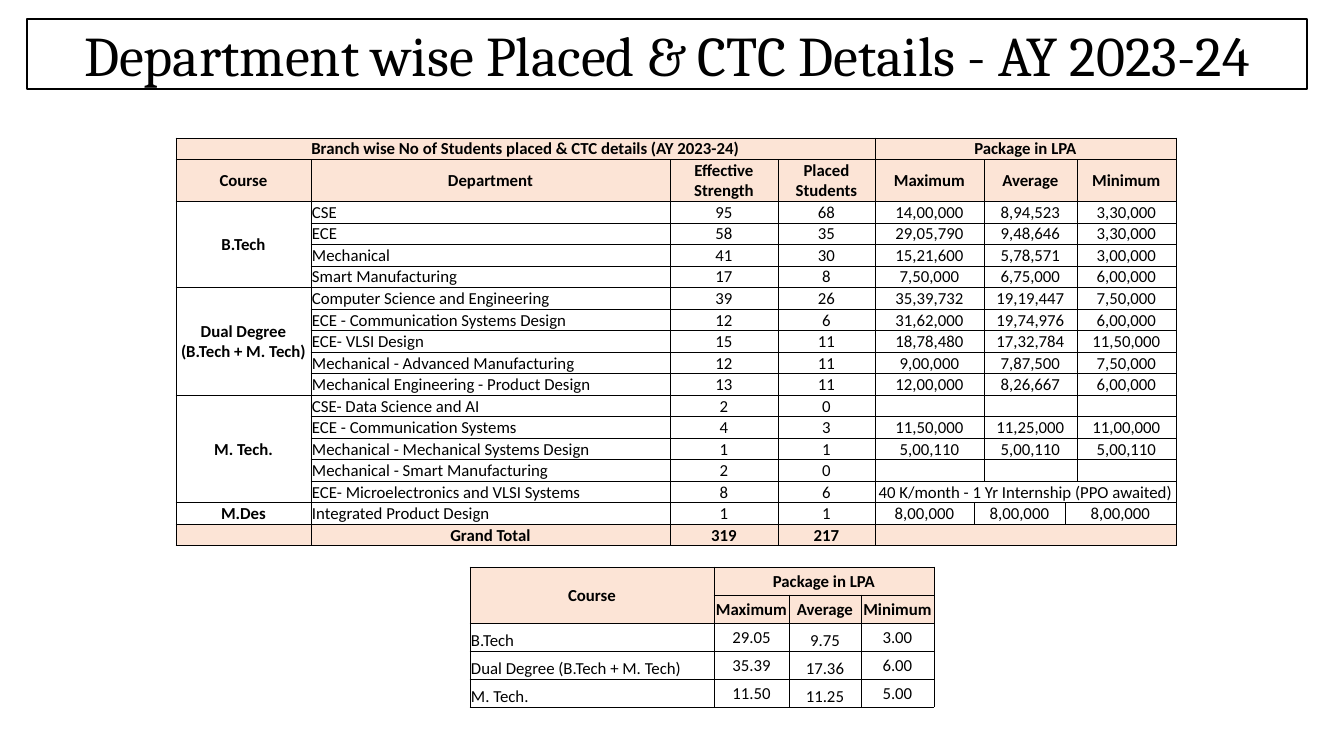
from lxml import etree
from pptx import Presentation
from pptx.dml.color import RGBColor
from pptx.enum.text import MSO_ANCHOR, PP_ALIGN
from pptx.oxml import parse_xml
from pptx.oxml.ns import nsdecls, qn
from pptx.util import Emu, Pt

CENTER, LEFT, JUSTIFY = PP_ALIGN.CENTER, PP_ALIGN.LEFT, PP_ALIGN.JUSTIFY
MIDDLE, BOTTOM = MSO_ANCHOR.MIDDLE, MSO_ANCHOR.BOTTOM
BLACK = RGBColor(0x00, 0x00, 0x00)
WHITE = RGBColor(0xFF, 0xFF, 0xFF)
PEACH = RGBColor(0xFC, 0xE4, 0xD6)
EMU_PER_PX = 914400 / 100.8

LEVELS = ("Maximum", "Average", "Minimum")
# (first column, number of columns) of each package figure
PACKAGE_SPANS = ((4, 2), (6, 2), (8, 1))
DESIGN_SPANS = ((4, 1), (5, 2), (7, 2))
WHOLE_SPAN = ((4, 5),)
NO_PACKAGE = ("", "", "")

# course, package spans, rows of (department, strength, placed, packages)
COURSES = [
    ("B.Tech", PACKAGE_SPANS, [
        ("CSE", "95", "68", ("14,00,000", "8,94,523", "3,30,000")),
        ("ECE", "58", "35", ("29,05,790", "9,48,646", "3,30,000")),
        ("Mechanical", "41", "30", ("15,21,600", "5,78,571", "3,00,000")),
        ("Smart Manufacturing", "17", "8", ("7,50,000", "6,75,000", "6,00,000")),
    ]),
    ("Dual Degree (B.Tech + M. Tech)", PACKAGE_SPANS, [
        ("Computer Science and Engineering", "39", "26",
         ("35,39,732", "19,19,447", "7,50,000")),
        ("ECE - Communication Systems Design", "12", "6",
         ("31,62,000", "19,74,976", "6,00,000")),
        ("ECE- VLSI Design", "15", "11", ("18,78,480", "17,32,784", "11,50,000")),
        ("Mechanical - Advanced Manufacturing", "12", "11",
         ("9,00,000", "7,87,500", "7,50,000")),
        ("Mechanical Engineering - Product Design", "13", "11",
         ("12,00,000", "8,26,667", "6,00,000")),
    ]),
    ("M. Tech.", PACKAGE_SPANS, [
        ("CSE- Data Science and AI", "2", "0", NO_PACKAGE),
        ("ECE - Communication Systems", "4", "3",
         ("11,50,000", "11,25,000", "11,00,000")),
        ("Mechanical - Mechanical Systems Design", "1", "1",
         ("5,00,110", "5,00,110", "5,00,110")),
        ("Mechanical - Smart Manufacturing", "2", "0", NO_PACKAGE),
        ("ECE- Microelectronics and VLSI Systems", "8", "6",
         ("40 K/month - 1 Yr Internship (PPO awaited)",)),
    ]),
    ("M.Des", DESIGN_SPANS, [
        ("Integrated Product Design", "1", "1", ("8,00,000", "8,00,000", "8,00,000")),
    ]),
]
SUMMARY = [
    ("B.Tech", "29.05", "9.75", "3.00"),
    ("Dual Degree (B.Tech + M. Tech)", "35.39", "17.36", "6.00"),
    ("M. Tech.", "11.50", "11.25", "5.00"),
]


def px(n):
    return Emu(round(n * EMU_PER_PX))


def set_font(font, name, size, bold=False):
    for key, value in {"name": name, "size": Pt(size), "bold": bold}.items():
        setattr(font, key, value)
    font.color.rgb = BLACK


def add_title(s, text):
    """Turn the title placeholder into an outlined rounded box."""
    title = s.shapes.title
    box = {"left": 27, "top": 19, "width": 1280, "height": 70}
    for key, value in box.items():
        setattr(title, key, px(value))
    title._element.spPr.append(parse_xml(
        f'<a:prstGeom {nsdecls("a")} prst="roundRect"><a:avLst/></a:prstGeom>'))
    title.fill.solid()
    title.fill.fore_color.rgb = WHITE
    title.line.color.rgb = BLACK
    title.line.width = Pt(1)
    tf = title.text_frame
    tf.word_wrap = True
    tf.vertical_anchor = MIDDLE
    p = tf.paragraphs[0]
    p.alignment = CENTER
    r = p.add_run()
    r.text = text
    set_font(r.font, "Cambria", 40)


def add_borders(cell):
    tc_pr = cell._tc.get_or_add_tcPr()
    for side in ("lnL", "lnR", "lnT", "lnB"):
        ln = etree.SubElement(tc_pr, qn(f"a:{side}"), w=str(Pt(0.5)))
        fill = etree.SubElement(ln, qn("a:solidFill"))
        etree.SubElement(fill, qn("a:srgbClr"), val=str(BLACK))


def add_grid(s, left, top, widths, heights):
    """Add a bordered table without fills; empty cells keep 12 pt lines."""
    frame = s.shapes.add_table(len(heights), len(widths), px(left), px(top),
                               px(sum(widths)), px(sum(heights)))
    table = frame.table
    table.first_row = table.horz_banding = False
    for column, width in zip(table.columns, widths):
        column.width = px(width)
    for row, height in zip(table.rows, heights):
        row.height = px(height)
    for cell in table.iter_cells():
        cell.margin_left = cell.margin_right = cell.margin_top = px(1)
        cell.margin_bottom = 0
        add_borders(cell)
        cell.fill.background()
        cell.text_frame.paragraphs[0]._p.get_or_add_endParaRPr().set("sz", "1200")
    return table


def write_cell(table, row, col, text, rows=1, cols=1, bold=False, fill=None,
               align=CENTER, anchor=MIDDLE):
    cell = table.cell(row, col)
    if rows * cols > 1:
        cell.merge(table.cell(row + rows - 1, col + cols - 1))
    cell.vertical_anchor = anchor
    if fill is not None:
        cell.fill.solid()
        cell.fill.fore_color.rgb = fill
    if text:
        p = cell.text_frame.paragraphs[0]
        p.alignment = align
        r = p.add_run()
        r.text = text
        set_font(r.font, "Calibri", 12, bold)


def write_heading(table, row, col, text, rows=1, cols=1):
    write_cell(table, row, col, text, rows, cols, bold=True, fill=PEACH)


def add_department_table(s):
    widths = [135, 359, 108, 97, 99, 10, 81, 12, 99]
    table = add_grid(s, 176, 138, widths, [21, 42] + [21] * 16)
    write_heading(table, 0, 0,
                  "Branch wise No of Students placed & CTC details (AY 2023-24)", cols=4)
    write_heading(table, 0, 4, "Package in LPA", cols=5)
    headings = ("Course", "Department", "Effective Strength", "Placed Students")
    for col, text in enumerate(headings):
        write_heading(table, 1, col, text)
    for (col, cols), text in zip(PACKAGE_SPANS, LEVELS):
        write_heading(table, 1, col, text, cols=cols)

    row = 2
    for course, spans, departments in COURSES:
        write_cell(table, row, 0, course, rows=len(departments), bold=True)
        for department, strength, placed, packages in departments:
            write_cell(table, row, 1, department, align=JUSTIFY)
            write_cell(table, row, 2, strength)
            write_cell(table, row, 3, placed)
            row_spans = WHOLE_SPAN if len(packages) == 1 else spans
            for (col, cols), text in zip(row_spans, packages):
                write_cell(table, row, col, text, cols=cols)
            row += 1

    for col, text in enumerate(("", "Grand Total", "319", "217")):
        write_heading(table, row, col, text)
    write_heading(table, row, 4, "", cols=5)


def add_summary_table(s):
    table = add_grid(s, 470, 567, [244, 75, 72, 73], [28] * 5)
    write_heading(table, 0, 0, "Course", rows=2)
    write_heading(table, 0, 1, "Package in LPA", cols=3)
    for col, text in enumerate(LEVELS, 1):
        write_heading(table, 1, col, text)
    formats = ((LEFT, BOTTOM), (CENTER, MIDDLE), (CENTER, BOTTOM), (CENTER, MIDDLE))
    for row, values in enumerate(SUMMARY, 2):
        for col, (text, (align, anchor)) in enumerate(zip(values, formats)):
            write_cell(table, row, col, text, align=align, anchor=anchor)


def main():
    prs = Presentation()
    prs.slide_width, prs.slide_height = px(1344), px(756)
    s = prs.slides.add_slide(prs.slide_layouts[5])
    add_title(s, "Department wise Placed & CTC Details - AY 2023-24")
    add_department_table(s)
    add_summary_table(s)
    prs.save("out.pptx")


if __name__ == "__main__":
    main()
